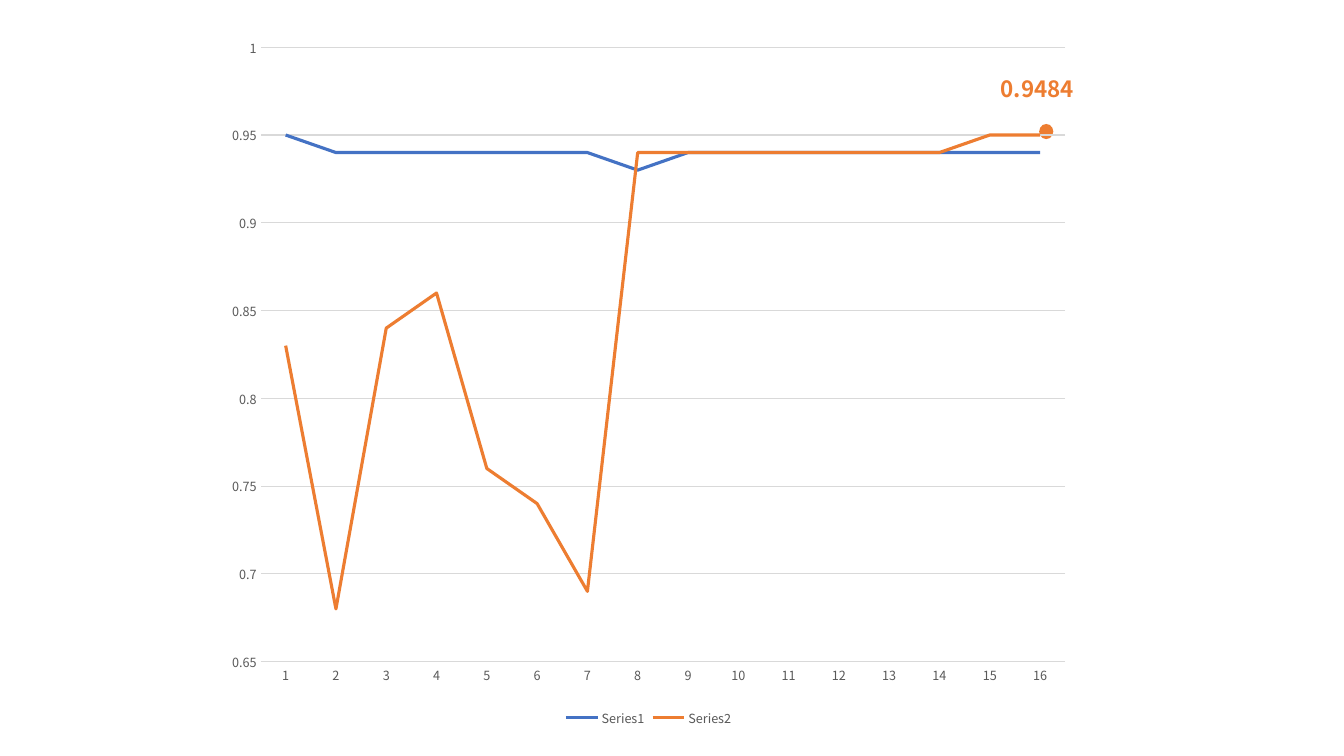
from pptx import Presentation
from pptx.chart.data import CategoryChartData
from pptx.dml.color import RGBColor
from pptx.enum.chart import XL_CHART_TYPE, XL_LEGEND_POSITION, XL_TICK_MARK
from pptx.enum.shapes import MSO_SHAPE
from pptx.enum.text import MSO_AUTO_SIZE
from pptx.util import Inches, Pt

FACE = "Noto Sans CJK KR"
BLUE, ORANGE, GREY, RULE = "4472C4", "ED7D31", "595959", "D9D9D9"


def tint(part, shade):
    """Set the colour of a fill or a font from a hex string."""
    if hasattr(part, "solid"):
        part.solid()
        part.fore_color.rgb = RGBColor.from_string(shade)
    else:
        part.color.rgb = RGBColor.from_string(shade)


def style(font, size, shade, bold=False):
    form = {"name": FACE, "size": Pt(size), "bold": bold}
    for key, value in form.items():
        setattr(font, key, value)
    tint(font, shade)


deck = Presentation()
deck.slide_width, deck.slide_height = Inches(40 / 3), Inches(7.5)
slide = deck.slides.add_slide(deck.slide_layouts[6])

# Dot and label for the last score
dot = slide.shapes.add_shape(
    MSO_SHAPE.OVAL, Inches(10.31), Inches(1.23), Inches(0.14), Inches(0.15))
dot.shadow.inherit = False
tint(dot.fill, ORANGE)
dot.line.fill.background()

label = slide.shapes.add_textbox(
    Inches(9.83), Inches(0.7), Inches(0.95), Inches(0.37)).text_frame
label.word_wrap = False
label.auto_size = MSO_AUTO_SIZE.SHAPE_TO_FIT_TEXT
run = label.paragraphs[0].add_run()
run.text = "0.9484"
style(run.font, 16, ORANGE, True)

# Line chart
lines = {
    "Series1": (BLUE, [0.95] + [0.94] * 6 + [0.93] + [0.94] * 8),
    "Series2": (ORANGE, [0.83, 0.68, 0.84, 0.86, 0.76, 0.74, 0.69]
                + [0.94] * 7 + [0.95] * 2),
}
data = CategoryChartData()
data.categories = [str(step) for step in range(1, 17)]
for name, (shade, scores) in lines.items():
    data.add_series(name, scores)

chart = slide.shapes.add_chart(
    XL_CHART_TYPE.LINE, Inches(2.13), Inches(0.24),
    Inches(8.61), Inches(7.01), data).chart
style(chart.font, 10, "000000")
chart.has_title = False
chart.has_legend = True
chart.legend.position = XL_LEGEND_POSITION.BOTTOM
chart.legend.include_in_layout = False
style(chart.legend.font, 9, GREY)

plot = chart.plots[0]
plot.vary_by_categories = False
for line in plot.series:
    line.smooth = False
    line.format.line.width = Pt(2.25)
    tint(line.format.line.fill, lines[line.name][0])

base, scale = chart.category_axis, chart.value_axis
for axis in (base, scale):
    axis.major_tick_mark = axis.minor_tick_mark = XL_TICK_MARK.NONE
    style(axis.tick_labels.font, 9, GREY)
for key, value in {"minimum_scale": 0.65, "maximum_scale": 1,
                   "major_unit": 0.05, "has_major_gridlines": True}.items():
    setattr(scale, key, value)
scale.format.line.fill.background()
for rule in (base.format.line, scale.major_gridlines.format.line):
    rule.width = Pt(0.75)
    tint(rule.fill, RULE)

deck.save("out.pptx")
